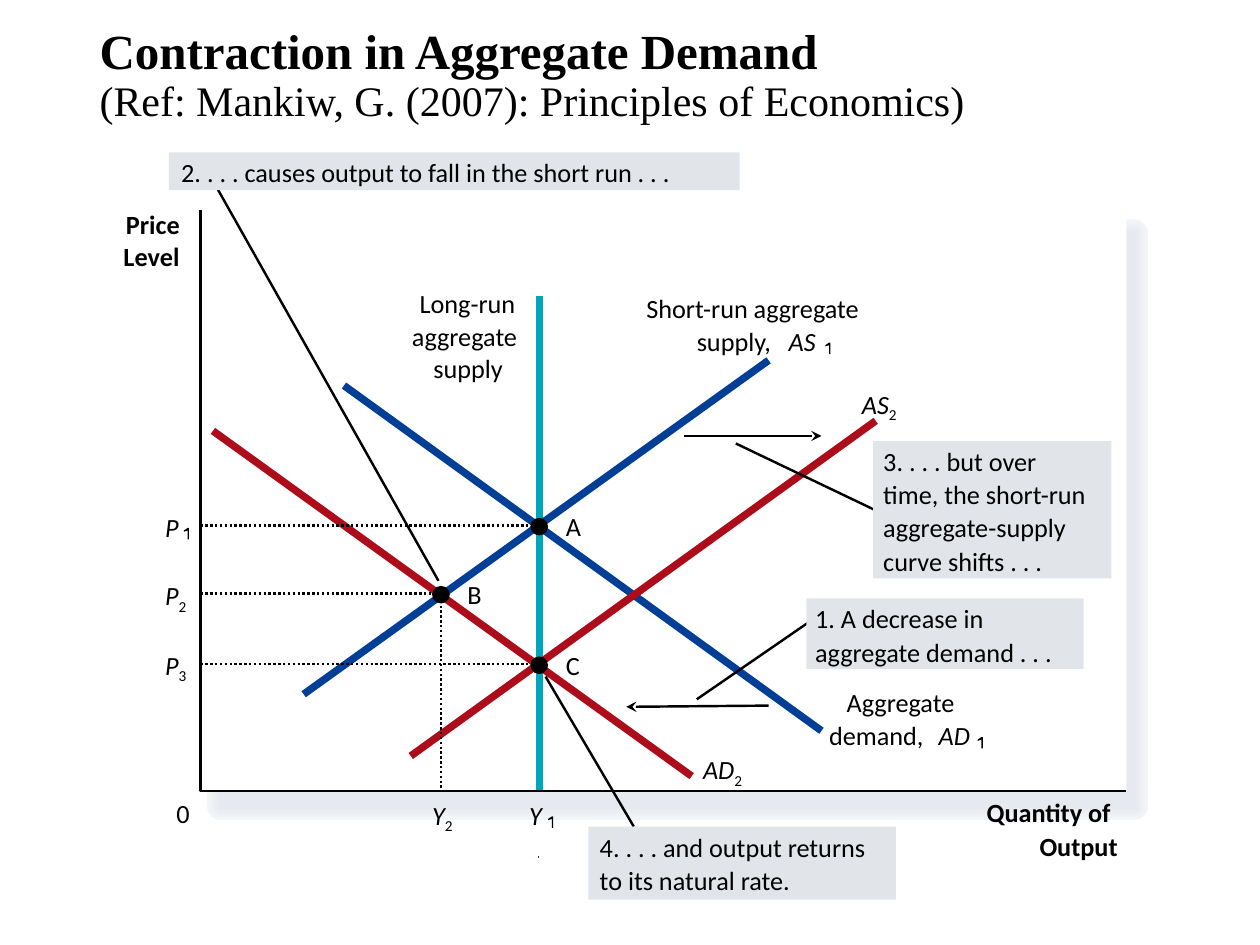
from dataclasses import dataclass

import pptx
import pptx.dml.color
import pptx.enum.dml
import pptx.enum.shapes
import pptx.enum.text
import pptx.oxml.ns
import pptx.util
from lxml import etree

SCALE = 9144  # EMU in one px, 100 px to the inch
BLACK, BLUE, RED, TEAL, GREY = "000000", "003F95", "AD0D1B", "00A4BC", "E1E5E9"
THIN, THICK = 1.38, 4.25
HALO = ("F3F6F9", "F2F4F8", "F1F4F7", "F0F2F5", "EEF1F4", "EDEFF3",
        "EBEEF2", "EAECF1", "E9EBF0", "E7EAEF", "E6E9EF")
LEFT, TOP, RIGHT, BASE = 159, 167, 894, 628  # plot area


@dataclass
class Label:
    text: str
    x: int
    y: int
    w: int
    bold: bool = False
    slant: bool = False
    sub: str = ""


@dataclass
class Line:
    start: tuple[int, int]
    end: tuple[int, int]
    color: str = BLACK
    width: float = THIN
    arrow: bool = False


@dataclass
class Callout:
    text: str
    box: tuple[int, int, int, int]
    pad: int
    lead: Line


@dataclass
class Point:
    name: str
    x: int
    y: int
    drop: bool = False  # dotted line also runs down to the base


LABELS = [
    Label("Quantity of", 783, 632, 127, bold=True),
    Label("Output", 825, 659, 82, bold=True),
    Label("Price", 100, 165, 66, bold=True),
    Label("Level", 98, 191, 68, bold=True),
    Label("0", 140, 633, 22),
    Label("Short-run aggregate", 513, 232, 204),
    Label("supply,", 553, 258, 85),
    Label("AS", 626, 258, 40, slant=True),
    Label("Long-run", 333, 228, 98),
    Label("aggregate", 327, 254, 106),
    Label("supply", 344, 280, 73),
    Label("Aggregate", 672, 545, 109),
    Label("demand,", 658, 571, 99),
    Label("AD", 745, 571, 41, slant=True),
    Label("P", 131, 406, 25, slant=True),
    Label("Y", 420, 634, 25, slant=True),
    Label("AD", 558, 598, 37, slant=True, sub="2"),
    Label("AS", 684, 308, 35, slant=True, sub="2"),
    Label("P", 131, 460, 22, slant=True, sub="2"),
    Label("P", 131, 515, 22, slant=True, sub="3"),
    Label("Y", 343, 634, 22, slant=True, sub="2"),
]
CURVES = [
    Line((241, 551), (610, 286), BLUE, THICK),
    Line((652, 580), (273, 306), BLUE, THICK),
    Line((549, 616), (169, 342), RED, THICK),
    Line((326, 600), (695, 334), RED, THICK),
]
SHIFTS = [
    Line((543, 346), (652, 346), arrow=True),
    Line((610, 560), (497, 561), arrow=True),
]
CALLOUTS = [
    Callout("1. A decrease in\naggregate demand . . .", (640, 475, 220, 56), 7,
            Line((646, 491), (553, 555))),
    Callout("2. . . . causes output to fall in the short run . . .",
            (134, 121, 453, 30), 10, Line((171, 147), (348, 461))),
    Callout("3. . . . but over\ntime, the short-run\naggregate-supply\ncurve shifts . . .",
            (693, 350, 189, 109), 8, Line((699, 407), (584, 352))),
    Callout("4. . . . and output returns\nto its natural rate.",
            (467, 656, 244, 58), 9, Line((503, 656), (433, 537))),
]
POINTS = [Point("A", 428, 417), Point("B", 350, 471, True), Point("C", 428, 527)]
# The small figure 1 beside AS, AD, P and Y
ONE = [(4, 0), (3, 0), (0, 2), (0, 3), (3, 2), (3, 9), (4, 9)]
ONES = [(655, 272), (776, 585), (146, 419), (435, 648)]

deck = pptx.Presentation()
deck.slide_width, deck.slide_height = 1000 * SCALE, 750 * SCALE
slide = deck.slides.add_slide(deck.slide_layouts[5])
shapes = slide.shapes


def emu(*px: int) -> list[int]:
    return [n * SCALE for n in px]


def paint(target, color: str) -> None:
    """Give a fill a solid colour."""
    target.solid()
    target.fore_color.rgb = pptx.dml.color.RGBColor.from_string(color)


def style(run, size: int, face: str = "Calibri", bold=False, slant=False) -> None:
    font = run.font
    font.name, font.size, font.bold, font.italic = face, pptx.util.Pt(size), bold, slant
    paint(font.fill, BLACK)


def stroke(line, color: str, width: float, dots: bool = False) -> None:
    paint(line.fill, color)
    line.width = pptx.util.Pt(width)
    if dots:
        line.dash_style = pptx.enum.dml.MSO_LINE.ROUND_DOT


def draw_shape(kind: str, box: tuple[int, int, int, int], color: str):
    shape = shapes.add_shape(pptx.enum.shapes.MSO_SHAPE[kind], *emu(*box))
    shape.shadow.inherit = False
    paint(shape.fill, color)
    shape.line.fill.background()
    return shape


def draw_line(item: Line, dots: bool = False) -> None:
    link = shapes.add_connector(pptx.enum.shapes.MSO_CONNECTOR.STRAIGHT,
                                *emu(*item.start, *item.end))
    stroke(link.line, item.color, item.width, dots)
    qn = pptx.oxml.ns.qn
    if item.arrow:
        etree.SubElement(link.line._get_or_add_ln(), qn("a:tailEnd"), type="stealth")
    etree.SubElement(link._element.spPr, qn("a:effectLst"))


def draw_path(spots: list[tuple[int, int]], close: bool):
    first, *rest = [emu(*spot) for spot in spots]
    pen = shapes.build_freeform(*first)
    pen.add_line_segments(rest, close=close)
    path = pen.convert_to_shape()
    path.shadow.inherit = False
    return path


def draw_open(spots: list[tuple[int, int]], dots: bool = False) -> None:
    path = draw_path(spots, False)
    path.fill.background()
    stroke(path.line, BLACK, THIN, dots)


def draw_label(item: Label) -> None:
    box = shapes.add_textbox(*emu(item.x, item.y, item.w, 25 if item.sub else 30))
    frame = box.text_frame
    frame.margin_left = frame.margin_right = frame.margin_top = frame.margin_bottom = 0
    frame.word_wrap = False
    frame.auto_size = pptx.enum.text.MSO_AUTO_SIZE.SHAPE_TO_FIT_TEXT
    frame.text = item.text
    line = frame.paragraphs[0]
    style(line.runs[0], 15, bold=item.bold, slant=item.slant)
    if item.sub:
        run = line.add_run()
        run.text = item.sub
        style(run, 15)
        run.font._element.set("baseline", "-25000")


def draw_callout(item: Callout) -> None:
    draw_line(item.lead)
    frame = draw_shape("RECTANGLE", item.box, GREY).text_frame
    frame.margin_left, frame.margin_top = emu(item.pad, 2)
    frame.margin_right = frame.margin_bottom = 0
    frame.vertical_anchor = pptx.enum.text.MSO_ANCHOR.TOP
    frame.word_wrap = True
    frame.text = item.text
    for line in frame.paragraphs:
        line.alignment = pptx.enum.text.PP_ALIGN.LEFT
        line.line_spacing = pptx.util.Pt(19)
        style(line.runs[0], 15)


# Title
title = shapes.title
title.left, title.top, title.width, title.height = emu(69, -12, 862, 145)
frame = title.text_frame
frame.auto_size = pptx.enum.text.MSO_AUTO_SIZE.NONE
frame.vertical_anchor = pptx.enum.text.MSO_ANCHOR.MIDDLE
frame.text = ("Contraction in Aggregate Demand\v"
              "(Ref: Mankiw, G. (2007): Principles of Economics)")
head = frame.paragraphs[0]
head.alignment = pptx.enum.text.PP_ALIGN.LEFT
head.line_spacing = 0.9
for run, size, bold in zip(head.runs, (28, 24), (True, False)):
    style(run, size, "Times New Roman", bold)

# Soft halo behind the white plot area
for step, color in enumerate(HALO):
    pane = draw_shape("RECTANGLE", (175, 185, 725, 455), color)
    stroke(pane.line, color, round(15.75 - 1.44 * step, 2))
draw_shape("RECTANGLE", (LEFT, TOP, RIGHT - LEFT, BASE - TOP), "FFFFFF")

# Long-run supply, axes and curves
draw_line(Line((428, 235), (428, BASE), TEAL, THICK))
draw_line(Line((427, 680), (428, 680), "60220F"))
draw_open([(LEFT, TOP), (LEFT, BASE), (RIGHT, BASE)])
for item in SHIFTS + CURVES:
    draw_line(item)

# Dotted guides, labels and callouts
for point in POINTS:
    foot = [(point.x, BASE)] if point.drop else []
    draw_open([(LEFT, point.y), (point.x, point.y)] + foot, dots=True)
    draw_label(Label(point.name, point.x + 21, point.y - 12, 25))
for item in LABELS:
    draw_label(item)
for x, y in ONES:
    mark = draw_path([(x + dx, y + dy) for dx, dy in ONE], True)
    paint(mark.fill, BLACK)
    mark.line.fill.background()
for item in CALLOUTS:
    draw_callout(item)

# Points where curves meet
for point in POINTS:
    draw_shape("OVAL", (point.x - 7, point.y - 6, 14, 14), BLACK)

deck.save("out.pptx")
